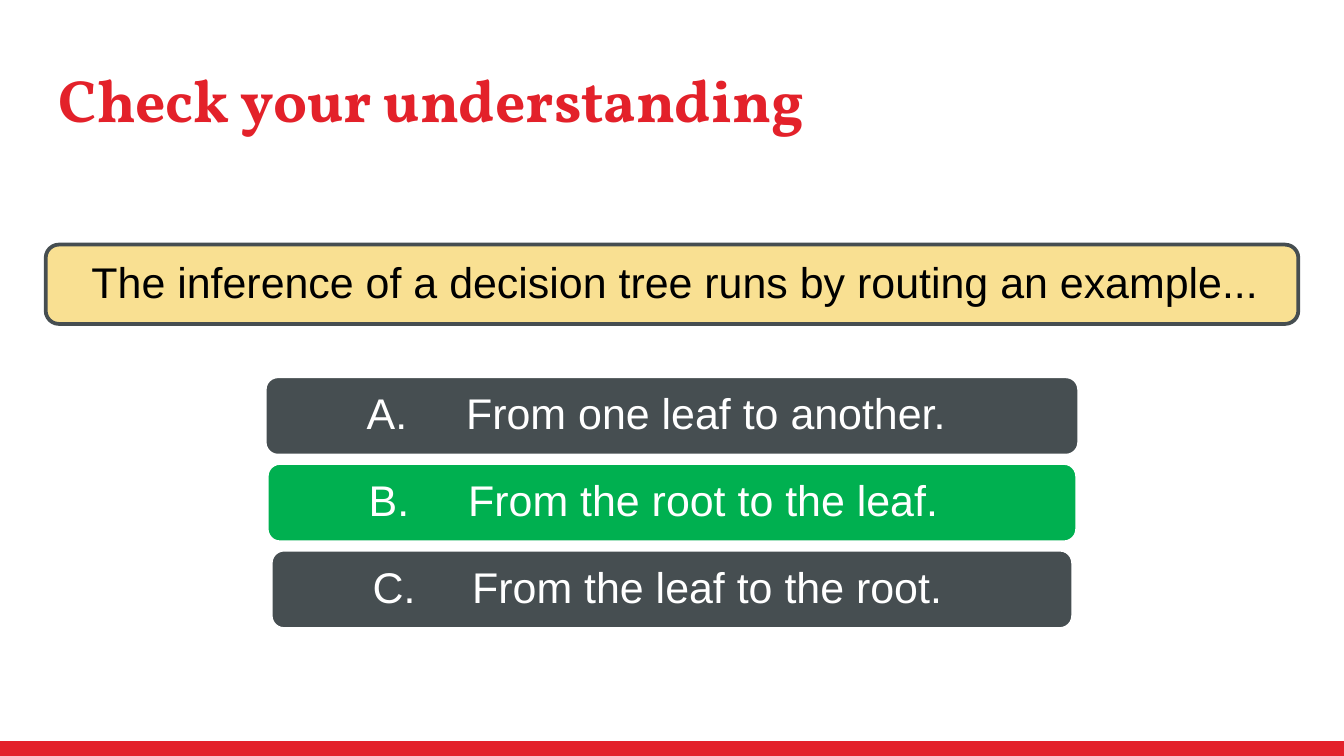
from pptx import Presentation
from pptx.dml.color import RGBColor
from pptx.enum.shapes import MSO_SHAPE
from pptx.enum.text import MSO_ANCHOR, PP_ALIGN
from pptx.util import Inches, Pt

RECT, ROUNDED = MSO_SHAPE.RECTANGLE, MSO_SHAPE.ROUNDED_RECTANGLE
LEFT, CENTER = PP_ALIGN.LEFT, PP_ALIGN.CENTER
MIDDLE = MSO_ANCHOR.MIDDLE

TITLE = "Check your understanding"
QUESTION = "The inference of a decision tree runs by routing an example..."
ANSWERS = [
    ("A.", "From one leaf to another.", 6.06, "slate"),
    ("B.", "From the root to the leaf.", 6.03, "green"),
    ("C.", "From the leaf to the root.", 5.97, "slate"),
]

THEME = {
    "red": "E3212A", "cream": "F9E092", "slate": "464E51",
    "green": "00B050", "white": "FFFFFF", "black": "000000",
    "title_font": "Vollkorn", "body_font": "Arial",
    "title_size": 32, "body_size": 23, "outline": 2,
}

WIDTH, HEIGHT = 10, 5.625
MARGIN = 0.34
CONTENT_WIDTH = WIDTH - 2 * MARGIN
BOX_HEIGHT = 0.59
QUESTION_TOP = 1.82
ANSWERS_TOP, ANSWER_PITCH = 2.8, 0.645
ANSWER_INDENT, LETTER_WIDTH = 1.34, 0.74
BAR_HEIGHT = 0.11


def color(name):
    return RGBColor.from_string(THEME[name])


def write(holder, text, *, font="body_font", size="body_size", ink="black",
          bold=False, align=LEFT, inset=0.13, indent=0, hanging=0):
    frame = holder.text_frame
    frame.word_wrap = True
    frame.vertical_anchor = MIDDLE
    frame.margin_left = frame.margin_right = Inches(inset)
    frame.margin_top = frame.margin_bottom = Inches(0.1)
    paragraph = frame.paragraphs[0]
    paragraph.alignment = align
    paragraph.line_spacing = 0.9
    if indent:
        properties = paragraph._p.get_or_add_pPr()
        properties.set("marL", str(Inches(indent)))
        properties.set("indent", str(-Inches(hanging)))
    run = paragraph.add_run()
    run.text = text
    run.font.name = THEME[font]
    run.font.size = Pt(THEME[size])
    run.font.bold = bold
    run.font.color.rgb = color(ink)


def add_box(slide, kind, left, top, width, height, fill, outline=None):
    box = slide.shapes.add_shape(
        kind, Inches(left), Inches(top), Inches(width), Inches(height))
    box.shadow.inherit = False
    box.fill.solid()
    box.fill.fore_color.rgb = color(fill)
    if outline:
        box.line.color.rgb = color(outline)
        box.line.width = Pt(THEME["outline"])
    else:
        box.line.fill.background()
    return box


def main():
    deck = Presentation()
    deck.slide_width, deck.slide_height = Inches(WIDTH), Inches(HEIGHT)
    slide = deck.slides.add_slide(deck.slide_layouts[6])

    add_box(slide, RECT, 0, HEIGHT - BAR_HEIGHT, WIDTH, BAR_HEIGHT, "red")

    title = slide.shapes.add_textbox(
        Inches(MARGIN), Inches(0.43), Inches(CONTENT_WIDTH), Inches(0.68))
    write(title, TITLE, font="title_font", size="title_size", ink="red",
          bold=True, inset=0.1)

    question = add_box(slide, ROUNDED, MARGIN, QUESTION_TOP, CONTENT_WIDTH,
                       BOX_HEIGHT, "cream", "slate")
    write(question, QUESTION, align=CENTER, indent=0.06)

    for row, (letter, wording, width, fill) in enumerate(ANSWERS):
        answer = add_box(slide, ROUNDED, (WIDTH - width) / 2,
                         ANSWERS_TOP + row * ANSWER_PITCH, width, BOX_HEIGHT,
                         fill, "white")
        write(answer, f"{letter}\t{wording}", ink="white",
              indent=ANSWER_INDENT, hanging=LETTER_WIDTH)

    deck.save("out.pptx")


if __name__ == "__main__":
    main()
